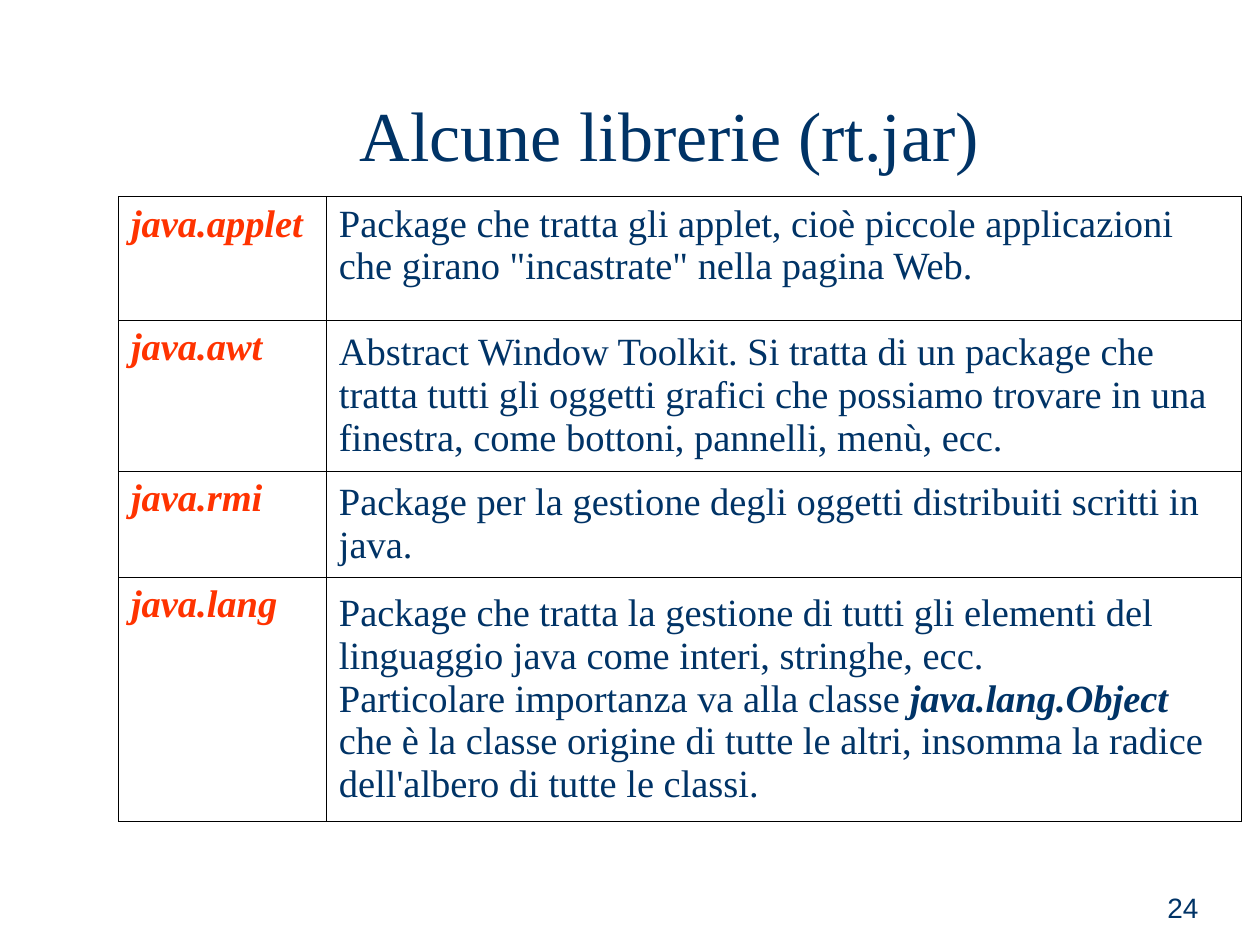
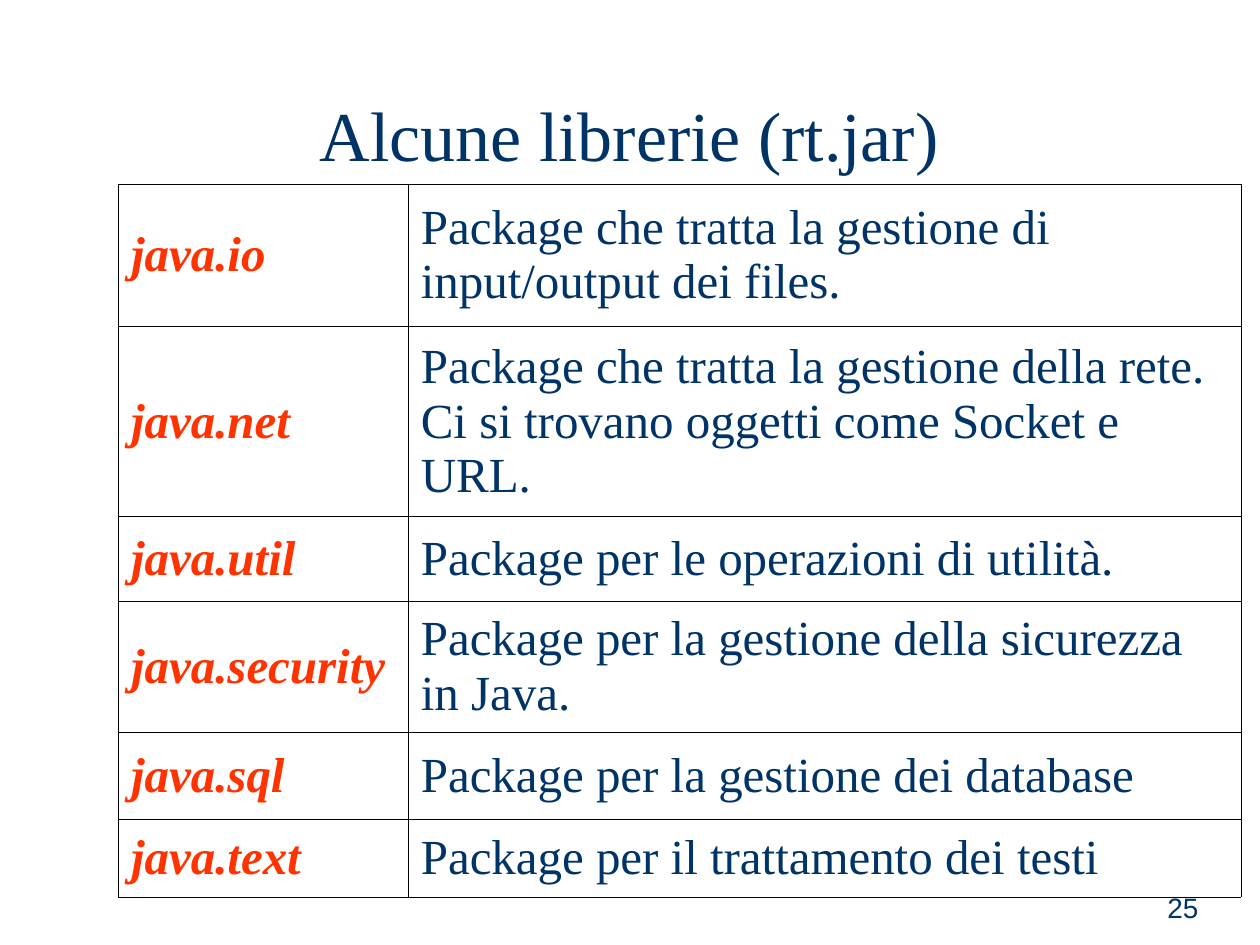
from lxml import etree
from pptx import Presentation
from pptx.dml.color import RGBColor
from pptx.enum.text import MSO_ANCHOR, PP_ALIGN
from pptx.oxml.ns import qn
from pptx.util import Inches, Pt

TOP, MIDDLE, BOTTOM = MSO_ANCHOR.TOP, MSO_ANCHOR.MIDDLE, MSO_ANCHOR.BOTTOM
LEFT, CENTER, RIGHT = PP_ALIGN.LEFT, PP_ALIGN.CENTER, PP_ALIGN.RIGHT

# Shared style: the grid has 100 columns by 75 rows
COLUMNS, ROWS = 100, 75
COLORS = {"text": "003366", "package": "FF3300", "border": "000000"}
SERIF, SANS = "Times New Roman", "Arial"
BORDER_WIDTH = Pt(0.34)
TITLE = "Alcune librerie (rt.jar)"
TITLE_TOP, TITLE_WIDTH, TITLE_HEIGHT = 8.4, 66.1, 5.5
TABLE_LEFT, TABLE_WIDTH = 9.4, 89.1
NUMBER_BOX = (72.1, 68.8, 24, 5)


class Deck:
    def __init__(self):
        self.prs = Presentation()
        self.prs.slide_width, self.prs.slide_height = Inches(10), Inches(7.5)
        self.slide = None

    def x(self, columns):
        return round(self.prs.slide_width * columns / COLUMNS)

    def y(self, rows):
        return round(self.prs.slide_height * rows / ROWS)

    def box(self, left, top, width, height):
        return self.x(left), self.y(top), self.x(width), self.y(height)

    def new_slide(self):
        self.slide = self.prs.slides.add_slide(self.prs.slide_layouts[6])

    def add_runs(self, paragraph, runs, color="text", **formats):
        """Add (text, emphasised) runs that share the given font values."""
        for text, emphasised in runs:
            run = paragraph.add_run()
            run.text = text
            values = {"bold": emphasised, "italic": emphasised, **formats}
            for name, value in values.items():
                setattr(run.font, name, value)
            run.font.color.rgb = RGBColor.from_string(COLORS[color])

    def label(self, text, box, anchor, align, spacing=None, **formats):
        frame = self.slide.shapes.add_textbox(*self.box(*box)).text_frame
        frame.word_wrap = True
        frame.vertical_anchor = anchor
        paragraph = frame.paragraphs[0]
        paragraph.alignment = align
        paragraph.line_spacing = spacing
        self.add_runs(paragraph, [(text, False)], **formats)

    def title(self, left):
        self.label(TITLE, (left, TITLE_TOP, TITLE_WIDTH, TITLE_HEIGHT),
                   MIDDLE, CENTER, 0.85, name=SERIF, size=Pt(40))

    def page_number(self, number):
        self.label(str(number), NUMBER_BOX, BOTTOM, RIGHT,
                   name=SANS, size=Pt(16))

    def border(self, cell):
        properties = cell._tc.get_or_add_tcPr()
        for position, side in enumerate(("lnL", "lnR", "lnT", "lnB")):
            line = etree.Element(qn("a:" + side), w=str(BORDER_WIDTH))
            fill = etree.SubElement(line, qn("a:solidFill"))
            etree.SubElement(fill, qn("a:srgbClr"), val=COLORS["border"])
            properties.insert(position, line)

    def cell(self, cell, paragraphs, anchor, color, size):
        cell.fill.background()
        self.border(cell)
        cell.vertical_anchor = anchor
        frame = cell.text_frame
        for index, runs in enumerate(paragraphs):
            paragraph = frame.add_paragraph() if index else frame.paragraphs[0]
            paragraph.alignment = LEFT
            self.add_runs(paragraph, runs, color, name=SERIF, size=Pt(size))

    def package_table(self, top, name_width, size, name_anchor, packages):
        heights = [height for height, *_ in packages]
        table = self.slide.shapes.add_table(
            len(packages), 2,
            *self.box(TABLE_LEFT, top, TABLE_WIDTH, sum(heights))).table
        table.first_row = table.horz_banding = False
        widths = (name_width, TABLE_WIDTH - name_width)
        for column, width in zip(table.columns, widths):
            column.width = self.x(width)
        for index, (height, name, anchor, description) in enumerate(packages):
            table.rows[index].height = self.y(height)
            if isinstance(description, str):
                description = [[(description, False)]]
            self.cell(table.cell(index, 0), [[(name, True)]],
                      name_anchor, "package", size)
            self.cell(table.cell(index, 1), description, anchor, "text", size)


# Row height, package, anchor of the description, description
CORE_PACKAGES = [
    (9.8, "java.applet", TOP,
     "Package che tratta gli applet, cioè piccole applicazioni che girano "
     "\"incastrate\" nella pagina Web."),
    (12, "java.awt", MIDDLE,
     "Abstract Window Toolkit. Si tratta di un package che tratta tutti gli "
     "oggetti grafici che possiamo trovare in una finestra, come bottoni, "
     "pannelli, menù, ecc."),
    (8.4, "java.rmi", MIDDLE,
     "Package per la gestione degli oggetti distribuiti scritti in java."),
    (19.4, "java.lang", MIDDLE, [
        [("Package che tratta la gestione di tutti gli elementi del "
          "linguaggio java come interi, stringhe, ecc.", False)],
        [("Particolare importanza va alla classe ", False),
         ("java.lang.Object ", True),
         ("che è la classe origine di tutte le altri, insomma la radice "
          "dell'albero di tutte le classi.", False)],
    ]),
]
SERVICE_PACKAGES = [
    (11.3, "java.io", MIDDLE,
     "Package che tratta la gestione di input/output dei files."),
    (15.1, "java.net", MIDDLE,
     "Package che tratta la gestione della rete. Ci si trovano oggetti come "
     "Socket e URL."),
    (6.7, "java.util", MIDDLE, "Package per le operazioni di utilità."),
    (10.4, "java.security", MIDDLE,
     "Package per la gestione della sicurezza in Java."),
    (6.9, "java.sql", MIDDLE, "Package per la gestione dei database"),
    (6.2, "java.text", MIDDLE, "Package per il trattamento dei testi"),
]


def main():
    deck = Deck()

    # Applets, windows, remote objects and the language itself
    deck.new_slide()
    deck.title(left=20.1)
    deck.package_table(15.6, 16.5, 22, TOP, CORE_PACKAGES)
    deck.page_number(24)

    # Input/output, network, utilities, security, data and text
    deck.new_slide()
    deck.title(left=16.9)
    deck.package_table(14.6, 23, 28, MIDDLE, SERVICE_PACKAGES)
    deck.page_number(25)

    deck.prs.save("out.pptx")


if __name__ == "__main__":
    main()
